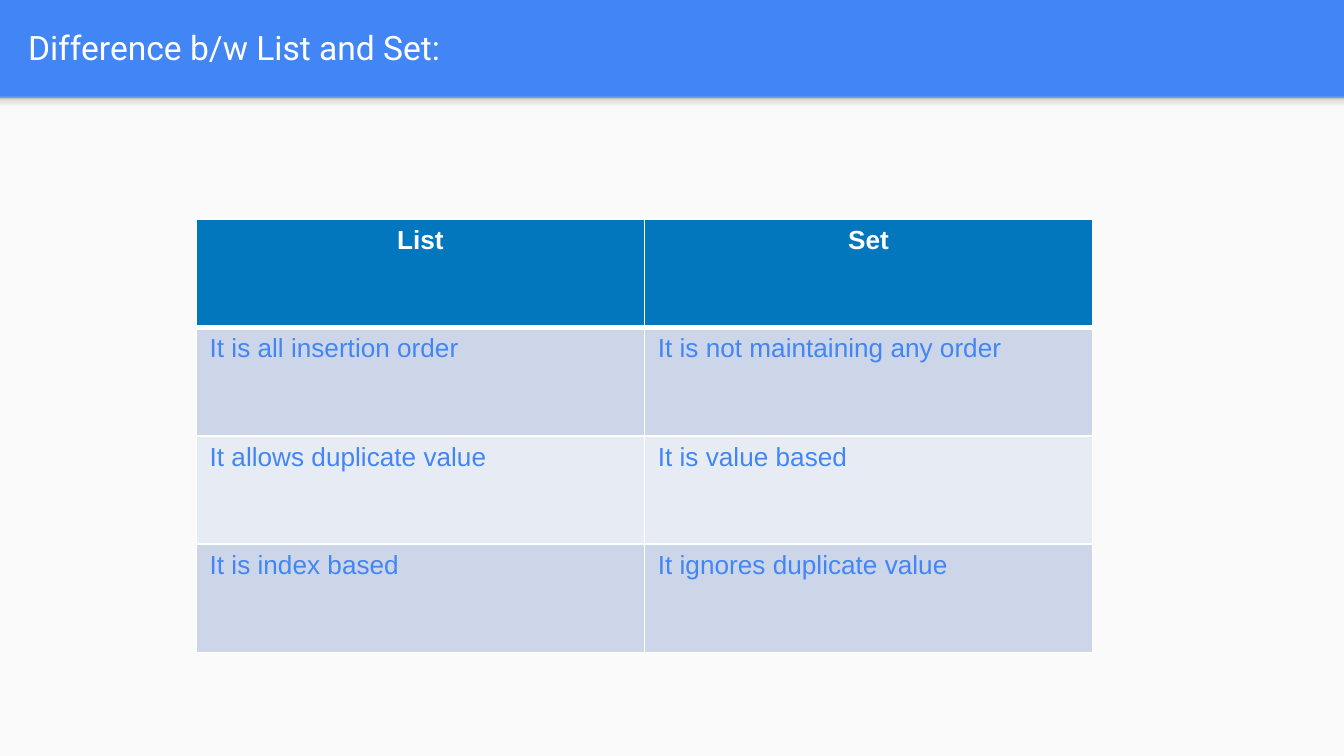
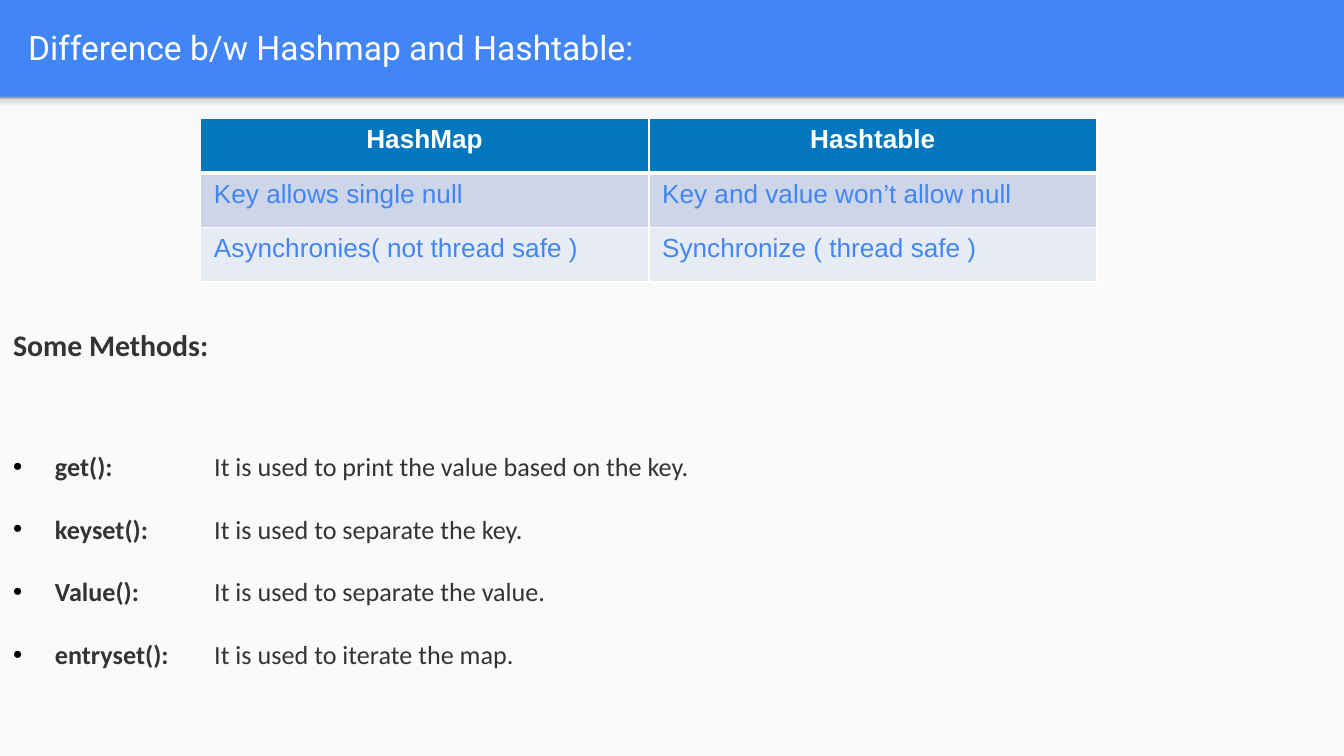
from pptx import Presentation
from pptx import util as u
from pptx.dml.color import RGBColor
from pptx.enum import shapes, text
from pptx.oxml import parse_xml
from pptx.oxml.ns import nsdecls

BLUE, PANEL, WHITE, INK, BLACK = "4285F4", "FAFAFA", "FFFFFF", "333333", "000000"
HEADER, BANDS = "0277BD", ("CCD6E8", "E7ECF4")
SHADOW_STOPS = [(0, "F9F9F9"), (36, "F9F9F9"), (80, "DEDEDE"), (100, "999999")]
TITLE_FONT, TABLE_FONT, BODY_FONT = "Roboto", "Arial", "Calibri"

WIDTH, HEIGHT = u.Cm(25.4), u.Cm(14.29)
BAND_HEIGHT = u.Cm(1.83)
COLUMN_WIDTH = u.Cm(8.47)

COMPARISONS = [
    {
        "title": "Difference b/w List and Set:",
        "left": 3.71, "top": 4.14, "row_height": 2.05,
        "rows": [
            ("List", "Set"),
            ("It is all insertion order", "It is not maintaining any order"),
            ("It allows duplicate value", "It is value based"),
            ("It is index based", "It ignores duplicate value"),
        ],
    },
    {
        "title": "Difference b/w Hashmap and Hashtable:",
        "left": 3.79, "top": 2.24, "row_height": 1.03,
        "rows": [
            ("HashMap", "Hashtable"),
            ("Key allows single null", "Key and value won’t allow null"),
            ("Asynchronies( not thread safe )", "Synchronize ( thread safe )"),
        ],
    },
]
METHODS_HEADING = "Some Methods:"
METHODS = [
    ("get():", "It is used to print the value based on the key."),
    ("keyset():", "It is used to separate the key."),
    ("Value():", "It is used to separate the value."),
    ("entryset():", "It is used to iterate the map."),
]


def rgb(color):
    return RGBColor.from_string(color)


def add_run(paragraph, words, font, size, color, bold=False):
    run = paragraph.add_run()
    run.text = words
    run.font.name, run.font.size, run.font.bold = font, u.Pt(size), bold
    run.font.color.rgb = rgb(color)


def add_rectangle(slide, top, height, color):
    shape = slide.shapes.add_shape(shapes.MSO_SHAPE.RECTANGLE, 0, top, WIDTH, height)
    shape.shadow.inherit = False
    shape.fill.solid()
    shape.fill.fore_color.rgb = rgb(color)
    shape.line.fill.background()
    return shape


def fade_upwards(shape, stops):
    """Replace the solid fill by a gradient that runs from bottom to top."""
    stop_xml = "".join(
        f'<a:gs pos="{position * 1000}"><a:srgbClr val="{color}"/></a:gs>'
        for position, color in stops)
    gradient = parse_xml(
        f'<a:gradFill {nsdecls("a")} rotWithShape="1"><a:gsLst>{stop_xml}</a:gsLst>'
        '<a:lin ang="16200000" scaled="0"/></a:gradFill>')
    properties = shape.element.spPr
    solid = properties.find("{*}solidFill")
    properties.replace(solid, gradient)


def add_titled_slide(presentation, title):
    slide = presentation.slides.add_slide(presentation.slide_layouts[5])
    slide.background.fill.solid()
    slide.background.fill.fore_color.rgb = rgb(BLUE)
    add_rectangle(slide, BAND_HEIGHT, HEIGHT - BAND_HEIGHT, PANEL)
    fade_upwards(add_rectangle(slide, BAND_HEIGHT, u.Cm(0.3), WHITE), SHADOW_STOPS)

    holder = slide.shapes.title
    holder.left, holder.top = u.Cm(0.28), u.Cm(0.05)
    holder.width, holder.height = u.Cm(24.51), u.Cm(1.68)
    frame = holder.text_frame
    frame.auto_size = text.MSO_AUTO_SIZE.NONE
    frame.vertical_anchor = text.MSO_ANCHOR.MIDDLE
    frame.margin_left = frame.margin_right = u.Cm(0.25)
    frame.margin_top = frame.margin_bottom = u.Cm(0.25)
    paragraph = frame.paragraphs[0]
    paragraph.alignment = text.PP_ALIGN.LEFT
    add_run(paragraph, title, TITLE_FONT, 18, WHITE)
    return slide


def set_borders(cell, widths):
    """Draw white borders; widths maps L, R, T and B to points."""
    properties = cell._tc.get_or_add_tcPr()
    for side, width in widths.items():
        properties.append(parse_xml(
            f'<a:ln{side} {nsdecls("a")} w="{u.Pt(width)}"><a:solidFill>'
            f'<a:srgbClr val="{WHITE}"/></a:solidFill></a:ln{side}>'))


def add_comparison_table(slide, rows, left, top, row_height):
    columns = len(rows[0])
    height = u.Cm(row_height)
    table = slide.shapes.add_table(
        len(rows), columns, u.Cm(left), u.Cm(top),
        COLUMN_WIDTH * columns, height * len(rows)).table
    table.horz_banding = False
    for row_index, row in enumerate(rows):
        table.rows[row_index].height = height
        is_header = row_index == 0
        fill = HEADER if is_header else BANDS[(row_index - 1) % 2]
        for column_index, words in enumerate(row):
            cell = table.cell(row_index, column_index)
            set_borders(cell, {"L": 1, "R": 1, "T": 3 if row_index == 1 else 1,
                               "B": 3 if is_header else 1})
            cell.fill.solid()
            cell.fill.fore_color.rgb = rgb(fill)
            paragraph = cell.text_frame.paragraphs[0]
            paragraph.alignment = text.PP_ALIGN.CENTER if is_header else text.PP_ALIGN.LEFT
            add_run(paragraph, words, TABLE_FONT, 14, WHITE if is_header else BLUE, is_header)


def set_bullet_and_tab(paragraph, indent, tab):
    properties = paragraph._p.get_or_add_pPr()
    properties.set("marL", str(indent))
    properties.set("indent", str(-indent))
    for xml in (f'<a:buClr {nsdecls("a")}><a:srgbClr val="{BLACK}"/></a:buClr>',
                f'<a:buFont {nsdecls("a")} typeface="Arial"/>',
                f'<a:buChar {nsdecls("a")} char="•"/>',
                f'<a:tabLst {nsdecls("a")}><a:tab pos="{tab}" algn="l"/></a:tabLst>'):
        properties.append(parse_xml(xml))


def add_methods(slide):
    box = slide.shapes.add_textbox(0, u.Cm(6.06), u.Cm(24.51), u.Cm(7))
    frame = box.text_frame
    frame.word_wrap = True
    add_run(frame.paragraphs[0], METHODS_HEADING, BODY_FONT, 16, INK, True)
    for index, (name, purpose) in enumerate(METHODS):
        paragraph = frame.add_paragraph()
        paragraph.line_spacing = 2.0
        paragraph.space_before = u.Pt(0 if index else 30)
        set_bullet_and_tab(paragraph, u.Cm(0.79), u.Cm(3.8))
        add_run(paragraph, name + "\t", BODY_FONT, 14, INK, True)
        add_run(paragraph, purpose, BODY_FONT, 14, INK)


def main():
    presentation = Presentation()
    presentation.slide_width, presentation.slide_height = WIDTH, HEIGHT
    for comparison in COMPARISONS:
        slide = add_titled_slide(presentation, comparison["title"])
        add_comparison_table(slide, comparison["rows"], comparison["left"],
                             comparison["top"], comparison["row_height"])
    add_methods(slide)
    presentation.save("out.pptx")


if __name__ == "__main__":
    main()
